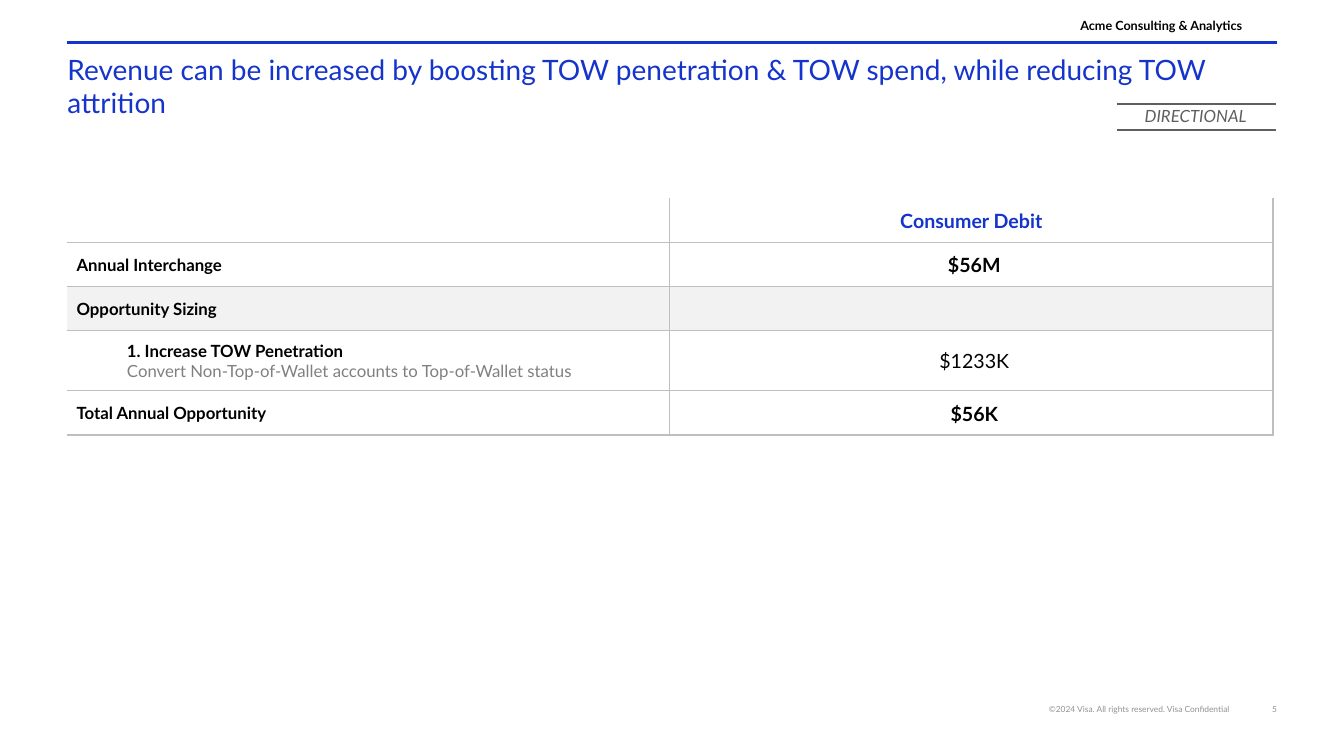
"""Build the opportunity sizing slide for consumer debit."""
from lxml import etree
from pptx import Presentation
from pptx.dml.color import RGBColor
from pptx.enum.shapes import MSO_CONNECTOR
from pptx.enum.text import MSO_ANCHOR, PP_ALIGN
from pptx.oxml.ns import qn
from pptx.util import Cm, Pt

LEFT, CENTER, RIGHT = PP_ALIGN.LEFT, PP_ALIGN.CENTER, PP_ALIGN.RIGHT
TOP, MIDDLE, BOTTOM = MSO_ANCHOR.TOP, MSO_ANCHOR.MIDDLE, MSO_ANCHOR.BOTTOM
STRAIGHT = MSO_CONNECTOR.STRAIGHT
BLUE, BLACK, GREY, WARM_GREY = "1434CB", "000000", "5F5F5F", "96918D"
BORDER, BAND, SUBTLE = "BFBFBF", "F2F2F2", "808080"


def color(value):
    return RGBColor.from_string(value)


class SlideBuilder:
    """Hold the style and the current slide."""

    font_name = "Lato"

    def __init__(self, slide):
        self.slide = slide

    def style(self, paragraph, size, ink, bold=False, italic=False, align=LEFT):
        paragraph.alignment = align
        font = paragraph.font
        font.name, font.size, font.bold, font.italic = self.font_name, Pt(size), bold, italic
        font.color.rgb = color(ink)

    def text(self, wording, left, top, width, height, size, ink, anchor=TOP,
             margins=(0, 0, 0, 0), spacing=None, **look):
        box = self.slide.shapes.add_textbox(Cm(left), Cm(top), Cm(width), Cm(height))
        frame = box.text_frame
        frame.word_wrap = True
        frame.vertical_anchor = anchor
        frame.margin_left, frame.margin_top, frame.margin_right, frame.margin_bottom = map(Cm, margins)
        frame.text = wording
        paragraph = frame.paragraphs[0]
        if spacing:
            paragraph.line_spacing = spacing
        self.style(paragraph, size, ink, **look)

    def rule(self, left, right, y, ink):
        line = self.slide.shapes.add_connector(STRAIGHT, Cm(left), Cm(y), Cm(right), Cm(y))
        line.line.color.rgb = color(ink)
        line.line.width = Pt(1.5)
        etree.SubElement(line._element.spPr, qn("a:effectLst"))

    def border(self, cell, shown):
        properties = cell._tc.get_or_add_tcPr()
        for side in "LRTB":
            line = etree.SubElement(properties, qn(f"a:ln{side}"), w=str(Pt(1)))
            if side in shown:
                fill = etree.SubElement(line, qn("a:solidFill"))
                etree.SubElement(fill, qn("a:srgbClr"), val=BORDER)
            else:
                etree.SubElement(line, qn("a:noFill"))

    def cell(self, cell, lines, sides, fill=None, indent=0, align=LEFT):
        self.border(cell, sides)
        if fill:
            cell.fill.solid()
            cell.fill.fore_color.rgb = color(fill)
        else:
            cell.fill.background()
        cell.vertical_anchor = MIDDLE
        cell.margin_left = cell.margin_right = Cm(0.25)
        cell.margin_top = cell.margin_bottom = Cm(0.25)
        frame = cell.text_frame
        frame.text = "\n".join(wording for wording, *_ in lines)
        for paragraph, (_, size, ink, bold) in zip(frame.paragraphs, lines):
            if indent:
                paragraph.level = 1
                paragraph._p.get_or_add_pPr().set("marL", str(Cm(indent)))
            self.style(paragraph, size, ink, bold, align=align)

    def table(self, left, top, column_width, rows, heading):
        shape = self.slide.shapes.add_table(
            len(rows), 2, Cm(left), Cm(top), Cm(2 * column_width), Cm(sum(row[0] for row in rows)))
        table = shape.table
        table.first_row = table.horz_banding = False
        for column in table.columns:
            column.width = Cm(column_width)
        for index, (height, lines, fill, indent) in enumerate(rows):
            table.rows[index].height = Cm(height)
            above = "T" if index else ""
            self.cell(table.cell(index, 0), lines, "RB" + above, fill, indent)
            value = [("", 12, BLACK, False)] if index else [(heading, 14, BLUE, True)]
            self.cell(table.cell(index, 1), value, "LRB" + above, fill, align=CENTER)


def main():
    presentation = Presentation()
    presentation.slide_width, presentation.slide_height = Cm(33.87), Cm(19.05)
    page = SlideBuilder(presentation.slides.add_slide(presentation.slide_layouts[6]))

    page.rule(1.7, 32.18, 1.07, BLUE)
    page.text("©2024 Visa. All rights reserved. Visa Confidential", 25.32, 17.75, 5.66, 0.25,
              6, WARM_GREY, BOTTOM, align=RIGHT)
    page.text("5", 31.09, 17.75, 1.09, 0.25, 6, WARM_GREY, align=RIGHT)
    page.text("Acme Consulting & Analytics", 26.37, 0.48, 4.93, 0.36, 9, BLACK, BOTTOM,
              spacing=0.9, bold=True, align=RIGHT)
    page.text("Revenue can be increased by boosting TOW penetration & TOW spend, "
              "while reducing TOW attrition", 1.7, 1.32, 30.48, 0.66, 20, BLUE,
              margins=(0, 0, 0, 0.25))

    page.text("DIRECTIONAL", 27.81, 2.51, 4.65, 0.84, 12, GREY, MIDDLE, italic=True, align=CENTER)
    for y in (2.62, 3.28):
        page.rule(28.14, 32.16, y, GREY)

    row_height = 1.11
    page.table(1.68, 5, 15.2, [
        (row_height, [("", 12, BLACK, False)], None, 0),
        (row_height, [("Annual Interchange", 12, BLACK, True)], None, 0),
        (row_height, [("Opportunity Sizing", 12, BLACK, True)], BAND, 0),
        (1.52, [("1. Increase TOW Penetration", 12, BLACK, True),
                ("Convert Non-Top-of-Wallet accounts to Top-of-Wallet status", 12, SUBTLE, False)],
         None, 1.27),
        (row_height, [("Total Annual Opportunity", 12, BLACK, True)], None, 0),
    ], "Consumer Debit")
    for amount, top, bold in (("$56M", 6.25, True), ("$1233K", 8.67, False), ("$56K", 9.99, True)):
        page.text(amount, 22.61, top, 3.89, 0.86, 14, BLACK,
                  margins=(0.25, 0.13, 0.25, 0.13), bold=bold, align=CENTER)

    presentation.save("out.pptx")


if __name__ == "__main__":
    main()
